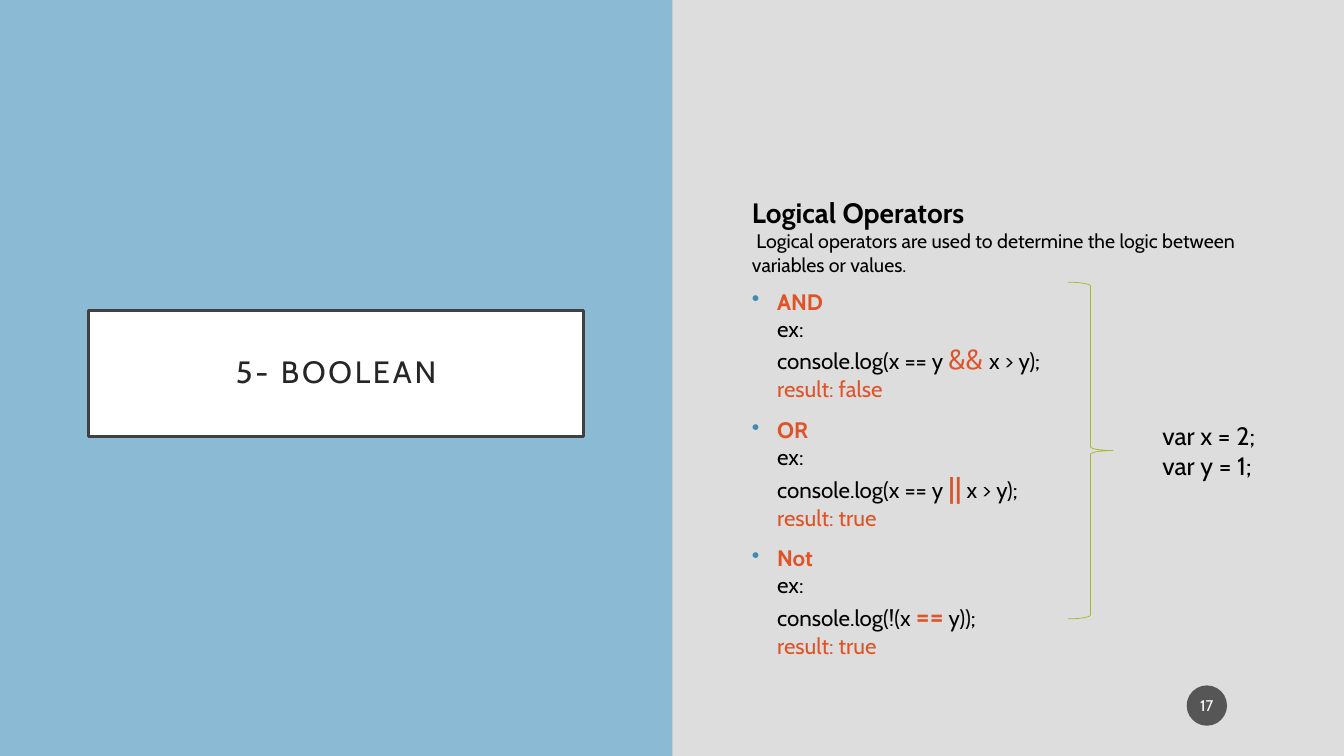
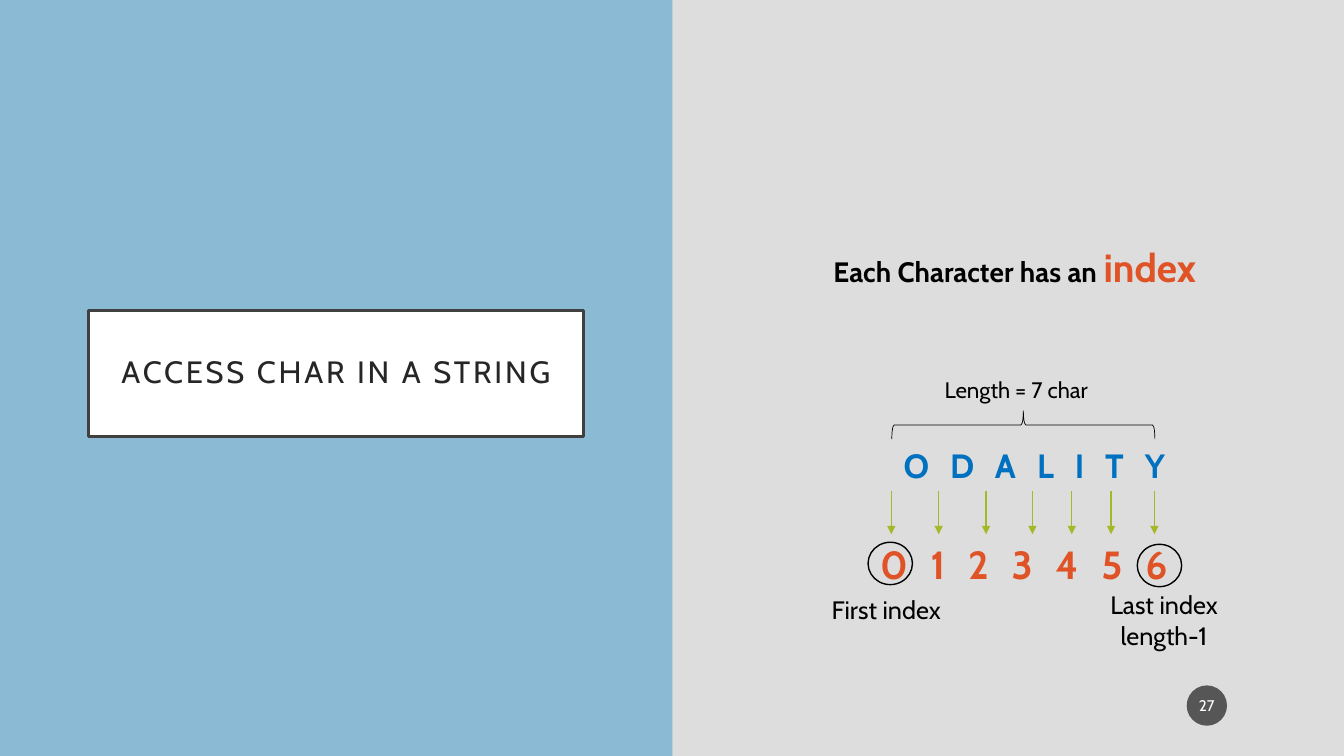
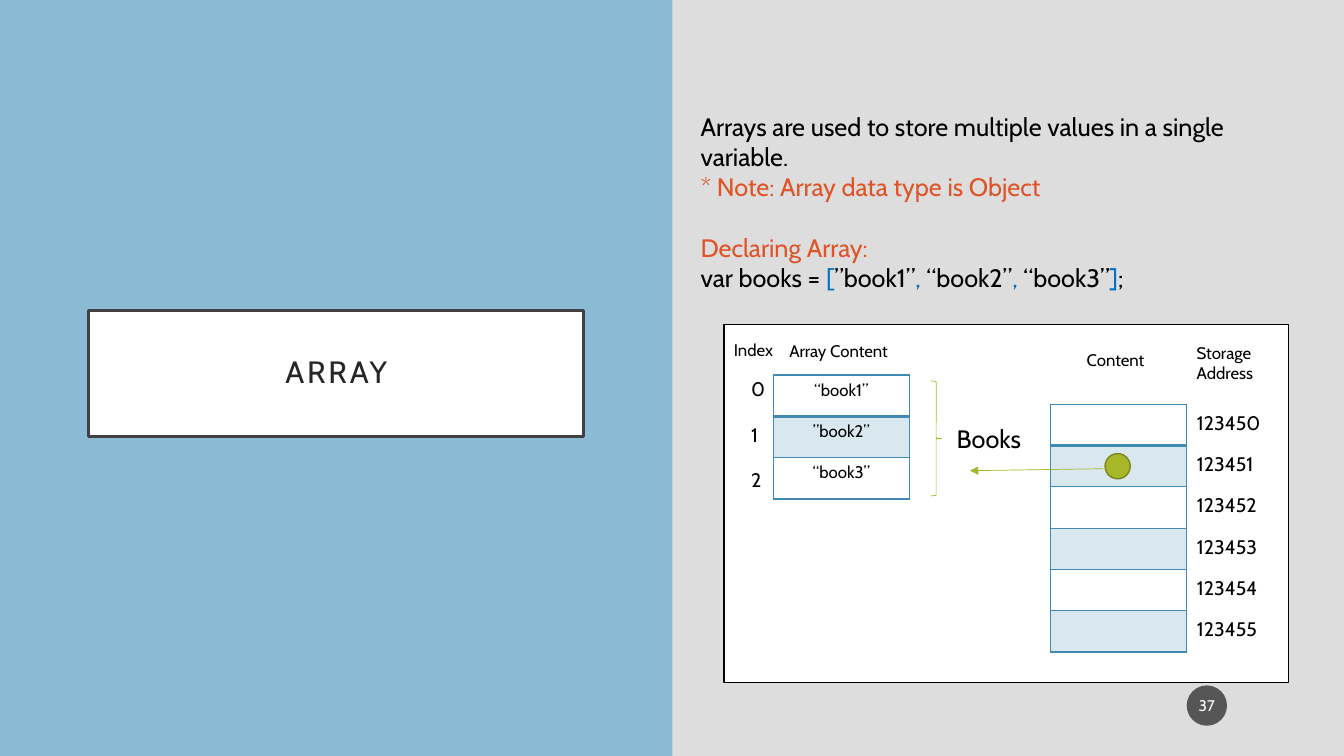
from dataclasses import dataclass

from lxml.etree import SubElement
from pptx import Presentation
from pptx.dml.color import RGBColor
from pptx.enum.shapes import MSO_CONNECTOR, MSO_SHAPE
from pptx.enum.text import MSO_ANCHOR, MSO_AUTO_SIZE, PP_ALIGN
from pptx.oxml.ns import qn
from pptx.util import Emu, Pt

PX = 9144


@dataclass(frozen=True)
class Theme:
    font: str = "Cabin"
    back: str = "DDDDDD"
    band: str = "8ABAD4"
    white: str = "FFFFFF"
    black: str = "000000"
    frame: str = "404040"
    title: str = "262626"
    badge: str = "1D1D1D"
    accent: str = "DF5327"
    blue: str = "0070C0"
    steel: str = "418AB3"
    green: str = "A6B727"
    olive: str = "7B871D"
    tiny: int = 11
    caption: int = 12
    small: int = 14
    code: int = 16
    body: int = 18
    heading: int = 20
    title_size: int = 22
    letters: int = 24
    large: int = 28


T = Theme()
CENTER = PP_ALIGN.CENTER
HOT = {"color": T.accent}
HOT_BOLD = {"color": T.accent, "bold": True}
HOT_SIGN = {"color": T.accent, "size": T.heading}
MARK = {"color": T.blue}


def px(*values):
    return [Emu(v * PX) for v in values]


def rgb(color):
    return RGBColor.from_string(color)


def paint(fill, color, alpha=100):
    if color is None:
        fill.background()
        return
    fill.solid()
    fill.fore_color.rgb = rgb(color)
    if alpha < 100:
        clr = fill._xPr.find(qn("a:solidFill"))[0]
        SubElement(clr, qn("a:alpha"), val=str(alpha * 1000))


def write(tf, text, size=T.body, color=T.black, bold=False, spacing=0, align=None,
          before=0, line_spacing=None, indent=0, bullet=False):
    p = tf.paragraphs[0]
    if p.runs:
        p = tf.add_paragraph()
    if align is not None:
        p.alignment = align
    if before:
        p.space_before = Pt(before)
    if line_spacing:
        p.line_spacing = line_spacing
    if indent:
        pPr = p._p.get_or_add_pPr()
        pPr.set("marL", str(indent * PX))
        if bullet:
            pPr.set("indent", str(-indent * PX))
            clr = SubElement(pPr, qn("a:buClr"))
            SubElement(clr, qn("a:srgbClr"), val=T.steel)
            SubElement(pPr, qn("a:buChar"), char="•")
    base = {"size": size, "color": color, "bold": bold}
    for part, change in [(text, {})] if isinstance(text, str) else text:
        look = base | change
        r = p.add_run()
        r.text = part
        r.font.name = T.font
        r.font.size = Pt(look["size"])
        r.font.bold = look["bold"]
        r.font.color.rgb = rgb(look["color"])
        if spacing:
            r._r.get_or_add_rPr().set("spc", str(round(spacing * 100)))


def label(s, box, *lines, wrap=True, **look):
    tf = s.shapes.add_textbox(*px(*box)).text_frame
    tf.word_wrap = wrap
    if not wrap:
        tf.auto_size = MSO_AUTO_SIZE.SHAPE_TO_FIT_TEXT
    for line in lines:
        write(tf, line, **look)
    return tf


def shape(s, kind, box, fill=None, line=None, width=1, alpha=100, inset=(10, 5)):
    sp = s.shapes.add_shape(kind, *px(*box))
    sp.shadow.inherit = False
    paint(sp.fill, fill, alpha)
    paint(sp.line.fill, line)
    if line:
        sp.line.width = Pt(width)
    tf = sp.text_frame
    tf.word_wrap = True
    tf.vertical_anchor = MSO_ANCHOR.MIDDLE
    tf.margin_left = tf.margin_right = Emu(inset[0] * PX)
    tf.margin_top = tf.margin_bottom = Emu(inset[1] * PX)
    return sp


def arrow(s, start, end, width=1):
    c = s.shapes.add_connector(MSO_CONNECTOR.STRAIGHT, *px(*start, *end))
    c.line.color.rgb = rgb(T.green)
    c.line.width = Pt(width)
    spPr = c._element.spPr
    SubElement(spPr.find(qn("a:ln")), qn("a:tailEnd"), type="triangle")
    SubElement(spPr, qn("a:effectLst"))


def border(cell, side, width):
    ln = SubElement(cell._tc.get_or_add_tcPr(), qn(f"a:ln{side}"), w=str(Pt(width)))
    if width:
        fill = SubElement(ln, qn("a:solidFill"))
        SubElement(fill, qn("a:srgbClr"), val=T.steel)
    else:
        SubElement(ln, qn("a:noFill"))


def column(s, left, top, width, row_height, values, grid=False, **look):
    count = len(values)
    box = px(left, top, width, row_height * count)
    table = s.shapes.add_table(count, 1, *box).table
    table.first_row = table.horz_banding = False
    for i, value in enumerate(values):
        table.rows[i].height = Emu(row_height * PX)
        cell = table.cell(i, 0)
        for side in "LRTB":
            heavy = i == 0 and side == "B"
            border(cell, side, (2 if heavy else 1) if grid else 0)
        paint(cell.fill, T.steel if grid and i % 2 else None, 20)
        if value:
            write(cell.text_frame, value, **look)


def base_slide(prs, title, number):
    s = prs.slides.add_slide(prs.slide_layouts[6])
    paint(s.background.fill, T.back)
    shape(s, MSO_SHAPE.RECTANGLE, (0, 0, 667, 750), T.band)
    box = shape(s, MSO_SHAPE.RECTANGLE, (88, 308, 491, 125), T.white, T.frame, 2.5,
                inset=(20, 20))
    write(box.text_frame, title, size=T.title_size, color=T.title, spacing=2,
          align=CENTER, line_spacing=0.9)
    badge = shape(s, MSO_SHAPE.OVAL, (1177, 680, 40, 40), T.badge, alpha=70,
                  inset=(2, 5))
    write(badge.text_frame, str(number), size=T.tiny, color=T.white, align=CENTER)
    return s


def boolean_slide(prs):
    s = base_slide(prs, "5- BOOLEAN", 17)
    tf = label(s, (736, 189, 535, 91), "Logical Operators", size=T.heading, bold=True)
    write(tf, " Logical operators are used to determine the logic between "
              "variables or values.", size=T.small)
    operators = [
        ("AND", "console.log(x == y ", "&& ", HOT_SIGN, "x > y);", "false"),
        ("OR", "console.log(x == y ", "||", HOT_SIGN | HOT_BOLD, " x > y);", "true"),
        ("Not", "console.log(!(x ", "==", HOT_SIGN | HOT_BOLD, " y));", "true"),
    ]
    tf = label(s, (736, 281, 613, 164))
    for i, (name, head, sign, look, tail, result) in enumerate(operators):
        write(tf, name, size=T.code, indent=25, bullet=True, before=10 if i else 0,
              **HOT_BOLD)
        for line in ("ex:", [(head, {}), (sign, look), (tail, {})],
                     [(f"result: {result}", HOT)]):
            write(tf, line, size=T.code, indent=25)
    shape(s, MSO_SHAPE.RIGHT_BRACE, (1059, 280, 45, 334), line=T.green, width=0.5)
    label(s, (1143, 412, 187, 71), "var x = 2;", "var y = 1;")


def string_slide(prs):
    s = base_slide(prs, "ACCESS CHAR IN A STRING", 27)
    label(s, (700, 236, 613, 164),
          [("Each Character has an ", {}), ("index", HOT | {"size": T.large})],
          size=T.heading, bold=True, align=CENTER)
    label(s, (861, 436, 330, 50), "ODALITY", wrap=False, size=T.letters, color=T.blue,
          bold=True, spacing=15, align=CENTER)
    for x in (884, 931, 978, 1024, 1063, 1102, 1145):
        arrow(s, (x, 487), (x, 530))
    label(s, (863, 531, 373, 57), "0123456", size=T.large, spacing=16.4, **HOT_BOLD)
    for x, y in ((861, 538), (1128, 540)):
        shape(s, MSO_SHAPE.OVAL, (x, y, 44, 42), line=T.black)
    brace = shape(s, MSO_SHAPE.RIGHT_BRACE, (1001, 291, 28, 261), line=T.black, width=0.5)
    brace.rotation = 270
    label(s, (927, 368, 195, 37), "Length = 7 char", size=T.code)
    label(s, (815, 585, 139, 40), "First index")
    label(s, (1085, 580, 139, 71), "Last index", "length-1", align=CENTER)


def array_slide(prs):
    s = base_slide(prs, "ARRAY", 37)
    tf = label(s, (685, 105, 610, 192),
               "Arrays are used to store multiple values in a single variable.",
               [("* Note: Array data type is Object", HOT)])
    write(tf, "Declaring Array:", before=22, **HOT)
    write(tf, [("var books = ", {}), ("[", MARK), ("”book1”", {}), (",", MARK),
               (" “book2”", {}), (", ", MARK), ("“book3”", {}), ("]", MARK), (";", {})])
    shape(s, MSO_SHAPE.RECTANGLE, (718, 322, 560, 355), T.white, T.black)
    addresses = [str(123450 + i) for i in range(6)]
    column(s, 1042, 401, 135, 41, [""] * 6, grid=True)
    column(s, 1177, 403, 135, 41, addresses, size=T.small)
    shape(s, MSO_SHAPE.OVAL, (1096, 450, 25, 25), T.green, T.olive)
    arrow(s, (1094, 465), (962, 467), 0.5)
    label(s, (939, 415, 86, 40), "Books")
    column(s, 767, 372, 135, 41, ["“book1”", "”book2”", "“book3”"], grid=True,
           size=T.caption, align=CENTER)
    shape(s, MSO_SHAPE.RIGHT_BRACE, (923, 378, 11, 114), line=T.green, width=0.5)
    column(s, 735, 370, 33, 45, ["0", "1", "2"], size=T.small)
    captions = [
        ((1177, 335, 79, 50), "Storage Address"),
        ((1068, 342, 79, 30), "Content"),
        ((718, 332, 79, 30), "Index"),
        ((773, 333, 163, 30), "Array Content"),
    ]
    for box, text in captions:
        label(s, box, text, size=T.caption)


def main():
    prs = Presentation()
    prs.slide_width, prs.slide_height = px(1333, 750)
    boolean_slide(prs)
    string_slide(prs)
    array_slide(prs)
    prs.save("out.pptx")


if __name__ == "__main__":
    main()
